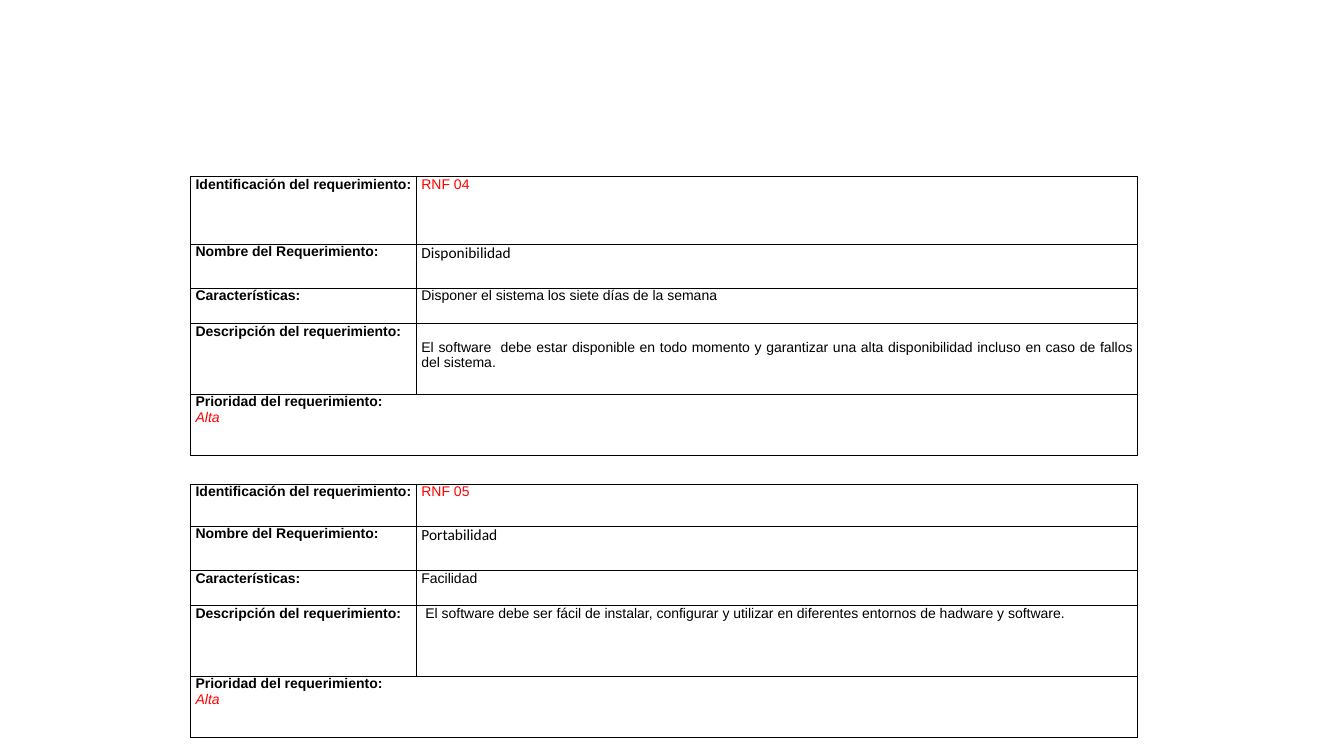
from dataclasses import dataclass

from lxml.etree import SubElement
from pptx import Presentation
from pptx.dml.color import RGBColor
from pptx.enum.text import PP_ALIGN as Align
from pptx.oxml.ns import qn
from pptx.util import Inches, Pt


@dataclass(frozen=True)
class Theme:
    ink: str = "000000"
    accent: str = "FF0000"
    font: str = "Arial"
    name_font: str = "Calibri"
    size: float = 10
    name_size: float = 11
    border: float = 0.5


theme = Theme()


def frame_cell(cell, left=0.05, top=0):
    """Set the margins, the four borders and an empty fill."""
    cell.margin_left, cell.margin_right = Inches(left), Inches(0.05)
    cell.margin_top, cell.margin_bottom = Inches(top), 0
    properties = cell._tc.get_or_add_tcPr()
    for side in ("lnL", "lnR", "lnT", "lnB"):
        line = SubElement(properties, qn(f"a:{side}"), w=str(Pt(theme.border)))
        fill = SubElement(line, qn("a:solidFill"))
        SubElement(fill, qn("a:srgbClr"), val=theme.ink)
    cell.fill.background()


def format_para(para, color=theme.ink, bold=False, italic=False,
                font=theme.font, size=theme.size, align=Align.LEFT):
    para.alignment = align
    for span in para.runs:
        span.font.name, span.font.size = font, Pt(size)
        span.font.bold, span.font.italic = bold, italic
        span.font.color.rgb = RGBColor.from_string(color)


# Content
labels = ["Identificación del requerimiento:", "Nombre del Requerimiento:",
          "Características:", "Descripción del requerimiento:",
          "Prioridad del requerimiento:"]
value_styles = [
    dict(color=theme.accent),
    dict(font=theme.name_font, size=theme.name_size),
    dict(align=Align.JUSTIFY),
    dict(align=Align.JUSTIFY),
]
priority = "Alta"
column_widths = [2.24, 7.15]
lower_heights = [0.44, 0.35, 0.7, 0.61]
requirements = [
    dict(top=1.75, first_height=0.67, description_margins=dict(top=0.16),
         values=["RNF 04", "Disponibilidad",
                 "Disponer el sistema los siete días de la semana",
                 "El software  debe estar disponible en todo momento y garantizar "
                 "una alta disponibilidad incluso en caso de fallos del sistema."]),
    dict(top=4.8, first_height=0.42, description_margins=dict(left=0.09),
         values=["RNF 05", "Portabilidad", "Facilidad",
                 "El software debe ser fácil de instalar, configurar y utilizar "
                 "en diferentes entornos de hadware y software."]),
]

# Slide
deck = Presentation()
deck.slide_width, deck.slide_height = Inches(13.33), Inches(7.5)
page = deck.slides.add_slide(deck.slide_layouts[6])

# One table per requirement
for requirement in requirements:
    heights = [requirement["first_height"], *lower_heights]
    table = page.shapes.add_table(
        len(labels), 2, Inches(1.89), Inches(requirement["top"]),
        Inches(sum(column_widths)), Inches(sum(heights))).table
    table.first_row = table.horz_banding = False
    for column, width in zip(table.columns, column_widths):
        column.width = Inches(width)
    for row, height in zip(table.rows, heights):
        row.height = Inches(height)

    # Label column
    for index, label in enumerate(labels):
        cell = table.cell(index, 0)
        cell.text_frame.text = label
        format_para(cell.text_frame.paragraphs[0], bold=True)
        frame_cell(cell)

    # Value column
    for index, (value, style) in enumerate(zip(requirement["values"], value_styles)):
        cell = table.cell(index, 1)
        cell.text_frame.text = value
        format_para(cell.text_frame.paragraphs[0], **style)
        is_description = index == len(value_styles) - 1
        frame_cell(cell, **(requirement["description_margins"] if is_description else {}))

    # Priority row across both columns
    priority_cell, spanned_cell = table.cell(4, 0), table.cell(4, 1)
    frame_cell(spanned_cell)
    priority_cell.merge(spanned_cell)
    para = priority_cell.text_frame.add_paragraph()
    para.text = priority
    format_para(para, color=theme.accent, italic=True)

deck.save("out.pptx")
